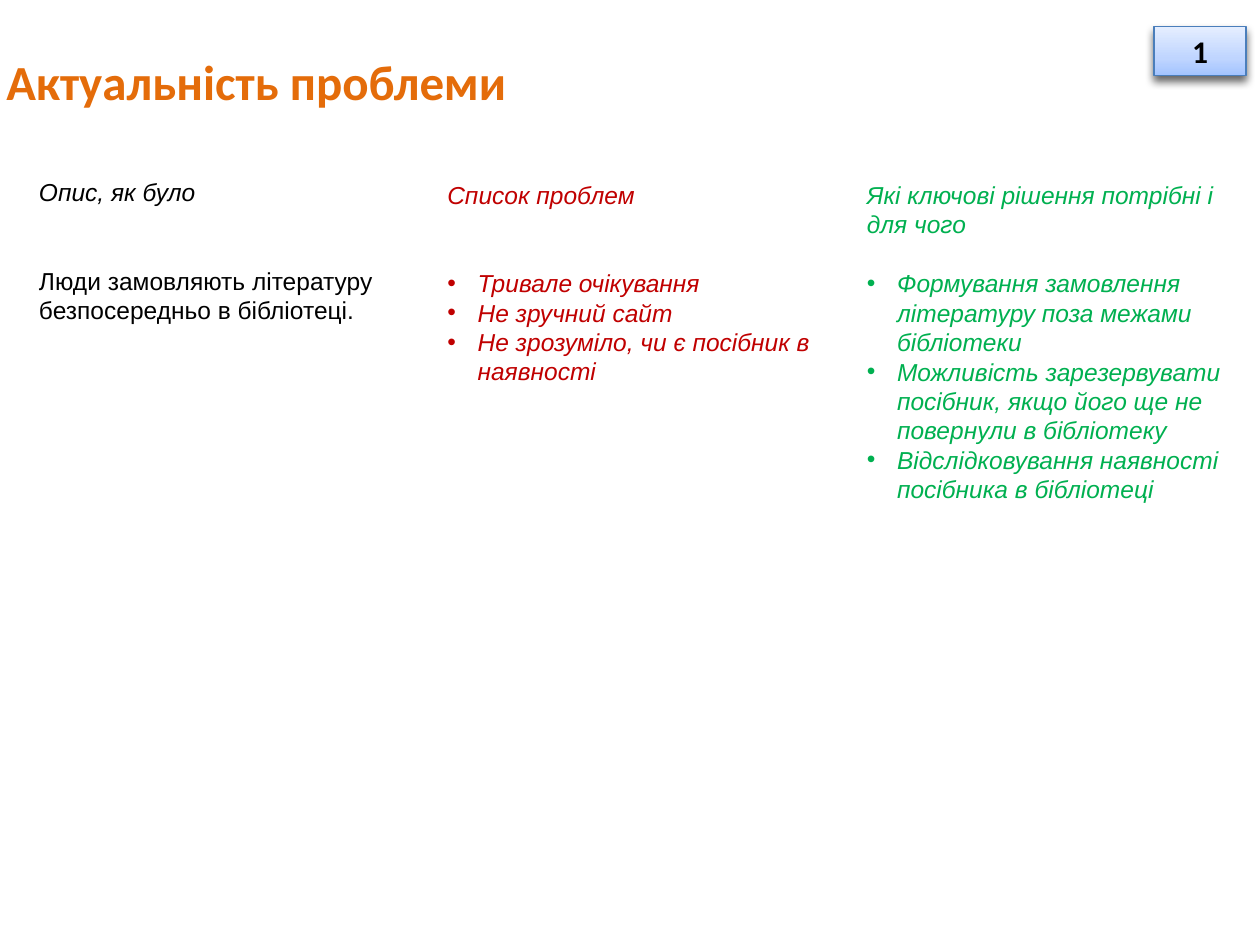
import copy

import lxml.etree
import pptx
import pptx.dml.color
import pptx.enum.shapes
import pptx.enum.text
import pptx.oxml.ns
import pptx.util

Inches = pptx.util.Inches
Pt = pptx.util.Pt
qn = pptx.oxml.ns.qn
PP_ALIGN = pptx.enum.text.PP_ALIGN
MIDDLE = pptx.enum.text.MSO_ANCHOR.MIDDLE

ORANGE, BLACK, RED, GREEN = "E46C0A", "000000", "C00000", "00B050"
BADGE_STOPS = [(0, "A3C4FF"), (0.35, "BFD5FF"), (1, "E5EEFF")]
COLUMNS = [
    ((0.26, 1.36, 3.1, 2.2), BLACK, "Опис, як було", 2, False,
     ["Люди замовляють літературу безпосередньо в бібліотеці."]),
    ((3.5, 1.38, 2.99, 3.36), RED, "Список проблем", 2, True,
     ["Тривале очікування", "Не зручний сайт",
      "Не зрозуміло, чи є посібник в наявності"]),
    ((6.83, 1.38, 3.1, 2.9), GREEN, "Які ключові рішення потрібні і для чого", 1, True,
     ["Формування замовлення літературу поза межами бібліотеки",
      "Можливість зарезервувати посібник, якщо його ще не повернули в бібліотеку",
      "Відслідковування наявності посібника в бібліотеці"]),
]


def rgb(color):
    """Return the colour for a hex string."""
    return pptx.dml.color.RGBColor.from_string(color)


def set_frame(frame, anchor=pptx.enum.text.MSO_ANCHOR.TOP):
    """Wrap the text and set even margins."""
    frame.word_wrap = True
    frame.vertical_anchor = anchor
    frame.margin_left = frame.margin_right = Inches(0.05)
    frame.margin_top = frame.margin_bottom = Inches(0.05)


def write(paragraph, text, font_name, size, color, bold=False, italic=False):
    """Fill a paragraph with one formatted run."""
    paragraph.text = text
    font = paragraph.runs[0].font
    font.name, font.size = font_name, Pt(size)
    font.bold, font.italic = bold, italic
    font.color.rgb = rgb(color)


def add_bullet(paragraph, color):
    """Give a paragraph a coloured hanging bullet."""
    properties = paragraph._p.get_or_add_pPr()
    indent = Inches(0.24)
    properties.set("marL", str(indent))
    properties.set("indent", str(-indent))
    bullet_color = lxml.etree.SubElement(properties, qn("a:buClr"))
    lxml.etree.SubElement(bullet_color, qn("a:srgbClr"), val=color)
    lxml.etree.SubElement(properties, qn("a:buFont"), typeface="Arial")
    lxml.etree.SubElement(properties, qn("a:buChar"), char="•")


def add_title(slide, box, text):
    """Place the slide title."""
    frame = slide.shapes.add_textbox(*map(Inches, box)).text_frame
    set_frame(frame, MIDDLE)
    write(frame.paragraphs[0], text, "Calibri", 28, ORANGE, bold=True)


def add_badge(slide, box, number):
    """Place the numbered badge with its gradient and soft shadow."""
    badge = slide.shapes.add_shape(
        pptx.enum.shapes.MSO_SHAPE.RECTANGLE, *map(Inches, box))
    badge.fill.gradient()
    badge.fill.gradient_angle = 90
    first_stop = badge.fill._fill._gradFill.find(qn("a:gsLst"))[0]
    first_stop.addnext(copy.deepcopy(first_stop))
    for stop, (position, color) in zip(badge.fill.gradient_stops, BADGE_STOPS):
        stop.position = position
        stop.color.rgb = rgb(color)
    badge.line.color.rgb = rgb("4A7EBB")
    badge.line.width = Pt(0.75)
    badge.shadow.inherit = False
    effects = badge._element.spPr.find(qn("a:effectLst"))
    shadow = lxml.etree.SubElement(
        effects, qn("a:outerShdw"), blurRad=str(Pt(5)), dist=str(Pt(3)),
        dir="5400000", rotWithShape="0")
    shadow_color = lxml.etree.SubElement(shadow, qn("a:srgbClr"), val=BLACK)
    lxml.etree.SubElement(shadow_color, qn("a:alpha"), val="60000")
    set_frame(badge.text_frame, MIDDLE)
    label = badge.text_frame.paragraphs[0]
    write(label, number, "Calibri", 18, BLACK, bold=True)
    label.alignment = PP_ALIGN.CENTER


def add_column(slide, box, color, heading, gap_lines, bulleted, items):
    """Place a column: an italic heading, a gap and its items."""
    frame = slide.shapes.add_textbox(*map(Inches, box)).text_frame
    set_frame(frame)
    write(frame.paragraphs[0], heading, "Arial", 14, color, italic=True)
    for index, item in enumerate(items):
        paragraph = frame.add_paragraph()
        if index == 0:
            paragraph.space_before = Pt(16.8 * gap_lines)
        if bulleted:
            add_bullet(paragraph, color)
        write(paragraph, item, "Arial", 14, color, italic=bulleted)


def main():
    """Build and save the slide."""
    presentation = pptx.Presentation()
    presentation.slide_width, presentation.slide_height = Inches(10), Inches(7.5)
    slide = presentation.slides.add_slide(presentation.slide_layouts[6])
    add_title(slide, (0, 0.21, 9.02, 0.86), "Актуальність проблеми")
    add_badge(slide, (9.16, 0.21, 0.73, 0.39), "1")
    for column in COLUMNS:
        add_column(slide, *column)
    presentation.save("out.pptx")


if __name__ == "__main__":
    main()
